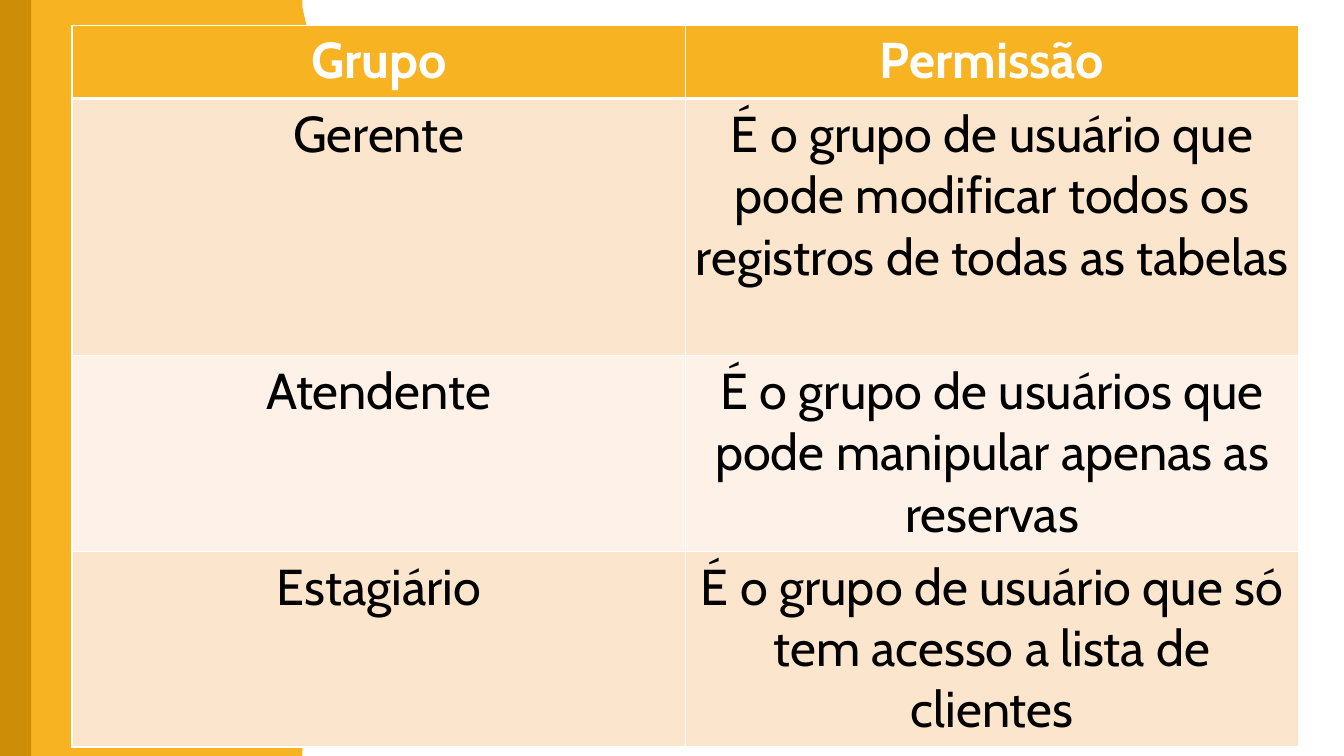
from lxml import etree
from pptx import Presentation
from pptx.dml.color import RGBColor
from pptx.enum import shapes, text
from pptx.oxml import ns
from pptx.util import Pt

WHITE = RGBColor(0xFF, 0xFF, 0xFF)
BLACK = RGBColor(0, 0, 0)
AMBER = RGBColor(0xF8, 0xB3, 0x23)
DARK_AMBER = RGBColor(0xCE, 0x8D, 0x07)
PEACH = RGBColor(0xFC, 0xE5, 0xCD)
PALE_PEACH = RGBColor(0xFE, 0xF2, 0xE8)

FONT = "Cabin"
PAGE_WIDTH, PAGE_HEIGHT = 960, 540

# Rising half of one wave on the panel's edge: (sideways, downwards)
WAVE_LEFT, WAVE_PERIOD = 216, 108
HALF_WAVE = [
    (0, 0), (0.3, 5), (1, 10), (2, 14.4), (3, 18), (4.3, 21), (5.8, 24),
    (7.2, 27), (8.6, 30), (10, 33), (11.4, 36), (12.4, 39.6), (13.4, 44),
    (14.1, 49), (14.4, 54),
]

ROWS = [
    ("Grupo", "Permissão"),
    ("Gerente", "É o grupo de usuário que pode modificar todos os "
                "registros de todas as tabelas"),
    ("Atendente", "É o grupo de usuários que pode manipular apenas as reservas"),
    ("Estagiário", "É o grupo de usuário que só tem acesso a lista de clientes"),
]
ROW_HEIGHTS = [52.4, 183.6, 139.8, 139.8]
ROW_FILLS = [AMBER, PEACH, PALE_PEACH, PEACH]
COLUMN_WIDTH = 438.2


def paint(shape, color):
    shape.shadow.inherit = False
    shape.fill.solid()
    shape.fill.fore_color.rgb = color
    shape.line.fill.background()


def add_band(page, width, color):
    band = page.shapes.add_shape(
        shapes.MSO_SHAPE.RECTANGLE, 0, 0, Pt(width), Pt(PAGE_HEIGHT))
    paint(band, color)


def add_wavy_panel(page):
    falling = [(x, WAVE_PERIOD - y) for x, y in reversed(HALF_WAVE[:-1])]
    wave = HALF_WAVE + falling[:-1]
    edge = [(WAVE_LEFT + x, start + y)
            for start in range(0, PAGE_HEIGHT, WAVE_PERIOD) for x, y in wave]
    corners = [(WAVE_LEFT, PAGE_HEIGHT), (0, PAGE_HEIGHT)]
    builder = page.shapes.build_freeform(0, 0, scale=Pt(1))
    builder.add_line_segments(edge + corners, close=True)
    paint(builder.convert_to_shape(), AMBER)


def set_border(cell, side, width):
    properties = cell._tc.get_or_add_tcPr()
    line = etree.SubElement(properties, ns.qn(f"a:ln{side}"), w=str(Pt(width)))
    fill = etree.SubElement(line, ns.qn("a:solidFill"))
    etree.SubElement(fill, ns.qn("a:srgbClr"), val=str(WHITE))


def fill_cell(cell, wording, color, is_header, under_header):
    # Borders come before the fill in the cell properties
    widths = {"L": 1, "R": 1, "T": 3 if under_header else 1,
              "B": 3 if is_header else 1}
    for side, width in widths.items():
        set_border(cell, side, width)
    cell.fill.solid()
    cell.fill.fore_color.rgb = color
    cell.text = wording
    para = cell.text_frame.paragraphs[0]
    para.alignment = text.PP_ALIGN.CENTER
    para.font.name = FONT
    para.font.size = Pt(36)
    para.font.bold = is_header
    para.font.color.rgb = WHITE if is_header else BLACK


def add_permission_table(page):
    frame = page.shapes.add_table(
        len(ROWS), 2, Pt(51.4), Pt(18), Pt(2 * COLUMN_WIDTH), Pt(sum(ROW_HEIGHTS)))
    table = frame.table
    for column in table.columns:
        column.width = Pt(COLUMN_WIDTH)
    for number, wordings in enumerate(ROWS):
        table.rows[number].height = Pt(ROW_HEIGHTS[number])
        for column, wording in enumerate(wordings):
            fill_cell(table.cell(number, column), wording, ROW_FILLS[number],
                      number == 0, number == 1)


def main():
    deck = Presentation()
    deck.slide_width, deck.slide_height = Pt(PAGE_WIDTH), Pt(PAGE_HEIGHT)
    page = deck.slides.add_slide(deck.slide_layouts[6])

    # Background and left-hand decoration
    add_band(page, PAGE_WIDTH, WHITE)
    add_wavy_panel(page)
    add_band(page, 22.3, DARK_AMBER)

    # Groups and their permissions
    add_permission_table(page)
    deck.save("out.pptx")


if __name__ == "__main__":
    main()
